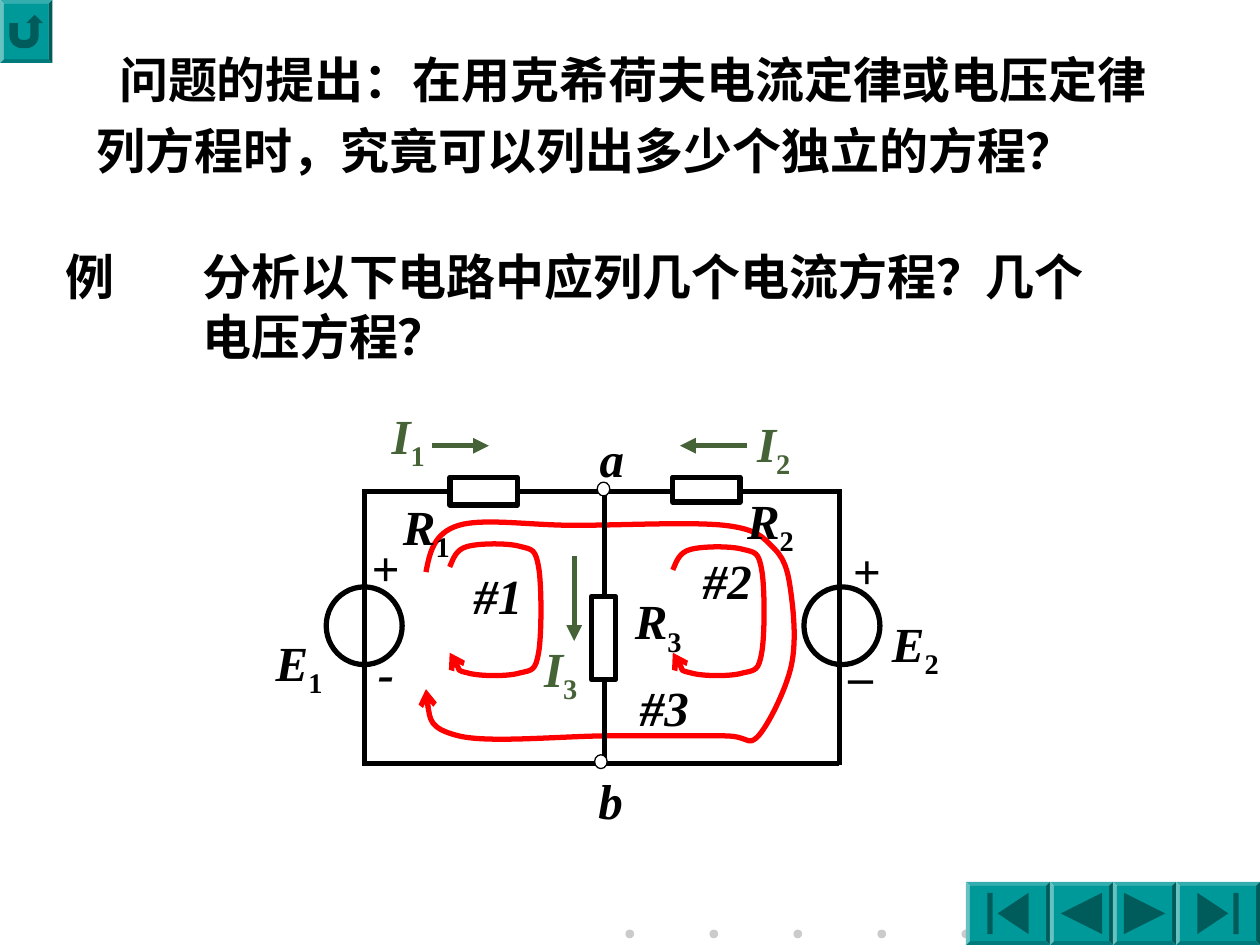
from typing import NamedTuple

from lxml.etree import SubElement
from pptx import Presentation
from pptx.dml.color import RGBColor
from pptx.enum.shapes import MSO_CONNECTOR, MSO_SHAPE
from pptx.enum.text import MSO_AUTO_SIZE
from pptx.oxml.ns import qn
from pptx.util import Pt

BLACK = RGBColor(0x00, 0x00, 0x00)
WHITE = RGBColor(0xFF, 0xFF, 0xFF)
RED = RGBColor(0xFF, 0x00, 0x00)
GREEN = RGBColor(0x46, 0x63, 0x37)
TEAL = RGBColor(0x00, 0x99, 0x99)
GRAY = RGBColor(0xCB, 0xCB, 0xCB)
SERIF = "Times New Roman"
SANS = "Noto Sans CJK SC"
RIM = 2.25


class Box(NamedTuple):
    kind: MSO_SHAPE
    x: float
    y: float
    w: float
    h: float


class Wire(NamedTuple):
    x1: float
    y1: float
    x2: float
    y2: float


class Label(NamedTuple):
    x: float
    y: float
    w: float
    text: str
    sub: str = ""
    color: RGBColor = BLACK


class Note(NamedTuple):
    x: float
    y: float
    w: float
    h: float
    lines: tuple[str, ...]
    font: str
    space: float
    indent: float = 0
    wrap: bool = False


def draw_box(box: Box, fill: RGBColor, width: float = 0):
    shape = shapes.add_shape(box.kind, Pt(box.x), Pt(box.y), Pt(box.w), Pt(box.h))
    shape.shadow.inherit = False
    shape.fill.solid()
    shape.fill.fore_color.rgb = fill
    if width:
        shape.line.color.rgb = BLACK
        shape.line.width = Pt(width)
    else:
        shape.line.fill.background()
    return shape


def draw_button(box: Box) -> None:
    """Draw a bevelled rim with the action button set inside it."""
    rim = draw_box(box._replace(kind=MSO_SHAPE.BEVEL), TEAL)
    rim.adjustments[0] = RIM / min(box.w, box.h)
    draw_box(Box(box.kind, box.x + RIM, box.y + RIM,
                 box.w - 2 * RIM, box.h - 2 * RIM), TEAL)


def add_head(item, kind: str) -> None:
    line = item._element.spPr.find(qn("a:ln"))
    SubElement(line, qn("a:tailEnd"), type=kind)


def draw_wire(wire: Wire, color: RGBColor = BLACK, head: str = "") -> None:
    ends = [Pt(n) for n in wire]
    item = shapes.add_connector(MSO_CONNECTOR.STRAIGHT, *ends)
    item.line.color.rgb = color
    item.line.width = Pt(3)
    if head:
        add_head(item, head)
    SubElement(item._element.spPr, qn("a:effectLst"))


def draw_curve(points: list[tuple[float, float]]) -> None:
    """Draw a start point followed by triples of cubic control points."""
    spots = [(Pt(x), Pt(y)) for x, y in points]
    maker = shapes.build_freeform(*spots[0], scale=1.0)
    maker.add_line_segments(spots[1:], close=False)
    shape = maker.convert_to_shape()
    track = next(shape._element.iter(qn("a:path")))
    steps = track.findall(qn("a:lnTo"))
    for i in range(0, len(steps), 3):
        cubic = SubElement(track, qn("a:cubicBezTo"))
        for step in steps[i:i + 3]:
            cubic.append(step[0])
            track.remove(step)
    shape.shadow.inherit = False
    shape.fill.background()
    shape.line.color.rgb = RED
    shape.line.width = Pt(3)
    add_head(shape, "arrow")


def add_frame(x: float, y: float, w: float, h: float, wrap: bool):
    frame = shapes.add_textbox(Pt(x), Pt(y), Pt(w), Pt(h)).text_frame
    frame.word_wrap = wrap
    frame.auto_size = MSO_AUTO_SIZE.SHAPE_TO_FIT_TEXT
    return frame


def add_run(para, text: str, color: RGBColor, name: str, slant: bool):
    run = para.add_run()
    run.text = text
    font = run.font
    font.size = Pt(28)
    font.bold = True
    font.italic = slant
    font.color.rgb = color
    font.name = name
    return run._r.get_or_add_rPr()


def draw_label(label: Label) -> None:
    high = 45.4 if label.sub else 41
    frame = add_frame(label.x, label.y, label.w, high, False)
    para = frame.paragraphs[0]
    add_run(para, label.text, label.color, SERIF, True)
    if label.sub:
        props = add_run(para, label.sub, label.color, SERIF, False)
        props.set("baseline", "-25000")


def draw_note(note: Note) -> None:
    frame = add_frame(note.x, note.y, note.w, note.h, note.wrap)
    for i, line in enumerate(note.lines):
        para = frame.add_paragraph() if i else frame.paragraphs[0]
        para.line_spacing = Pt(note.space)
        if note.indent:
            para._p.get_or_add_pPr().set("indent", str(Pt(note.indent)))
        props = add_run(para, line, BLACK, note.font, False)
        SubElement(props, qn("a:ea"), typeface=SANS)


deck = Presentation()
deck.slide_width, deck.slide_height = Pt(720), Pt(540)
shapes = deck.slides.add_slide(deck.slide_layouts[6]).shapes

# Footer dots and action buttons
for i in range(5):
    draw_box(Box(MSO_SHAPE.OVAL, 357.4 + 48 * i, 531.2, 5, 5), GRAY)
for button in (
    Box(MSO_SHAPE.ACTION_BUTTON_RETURN, 0, 0, 30, 36),
    Box(MSO_SHAPE.ACTION_BUTTON_BEGINNING, 552, 504, 48, 36),
    Box(MSO_SHAPE.ACTION_BUTTON_BACK_OR_PREVIOUS, 600, 504, 36, 36),
    Box(MSO_SHAPE.ACTION_BUTTON_FORWARD_OR_NEXT, 636, 504, 36, 36),
    Box(MSO_SHAPE.ACTION_BUTTON_END, 672, 504, 48, 36),
):
    draw_button(button)

# Question and example
for note in (
    Note(48, 18, 617, 88, ("问题的提出：在用克希荷夫电流定律或电压定律"
         "列方程时，究竟可以列出多少个独立的方程？",), SANS, 40.6, 13, True),
    Note(30.2, 137.4, 42.6, 41, ("例",), SERIF, 33.8),
    Note(108.5, 137.4, 519, 75,
         ("分析以下电路中应列几个电流方程？几个", "电压方程？"), SERIF, 33.8),
):
    draw_note(note)

# Inner loops: same outline, the right one has a lower top
HALF = [0, 2.2, 3.6, 10.1, 17.3, 33.8, 40.3, 47.5, 49, 50.8, 52.6]
UPPER = [324, 319, 314, 312.3, 310.3, 310.3, 312.3, 314, 314, 324, 334]
LOWER = [363, 373, 383, 383, 384.5, 386.6, 386.6, 384.5, 383, 378, 373]
for left, drop in ((257, 0), (384.5, 1.7)):
    across = [left + x for x in HALF + HALF[::-1]]
    draw_curve(list(zip(across, [y + drop for y in UPPER] + LOWER)))

# Outer loop
draw_curve([
    (243.4, 326.9),
    (245.5, 316.1), (247.7, 304.6), (262.1, 300.2),
    (276.5, 295.9), (303.1, 300.2), (328.3, 300.2),
    (354.2, 300.2), (395.3, 298.1), (414, 300.2),
    (433.4, 302.4), (436.3, 307.4), (442.8, 313.9),
    (449.3, 320.4), (450.7, 329), (452.2, 340.6),
    (453.6, 351.4), (455, 367.2), (452.2, 380.2),
    (449.3, 393.8), (439.2, 414), (433.4, 420.5),
    (427, 427), (428.4, 420.5), (414, 420.5),
    (399.6, 420.5), (373, 420.5), (347.8, 420.5),
    (322.6, 420.5), (279.4, 424.8), (262.1, 420.5),
    (244.8, 416.2), (244.1, 404.6), (243.4, 393.8),
])

# Sources, wires, resistors and nodes
LEFT, MID, RIGHT, TOP, BASE = 208.1, 345.6, 479.6, 280.8, 436.2
for x in (186.4, 459.4):
    draw_box(Box(MSO_SHAPE.OVAL, x, 335.4, 43.4, 44.4), WHITE, 3)
for x in (LEFT, MID, RIGHT):
    draw_wire(Wire(x, TOP - 1.5, x, BASE + 1))
for wire in (Wire(LEFT - 1.5, TOP, MID, TOP), Wire(MID, TOP, RIGHT, TOP),
             Wire(LEFT - 1.5, BASE, RIGHT, BASE)):
    draw_wire(wire)
for part in (Box(MSO_SHAPE.RECTANGLE, 257.2, 272.7, 38.5, 16),
             Box(MSO_SHAPE.RECTANGLE, 384.4, 272.7, 38.5, 14.3),
             Box(MSO_SHAPE.RECTANGLE, 337.9, 340.8, 14, 47.6)):
    draw_box(part, WHITE, 3)
for x, y in ((341.3, 275.5), (339.8, 431.3)):
    draw_box(Box(MSO_SHAPE.OVAL, x, y, 7.2, 7.9), WHITE, 0.75)

# Current arrows
for arrow in (Wire(247, 254.7, 279.4, 254.7), Wire(426.8, 254.7, 388.6, 254.7),
              Wire(328.1, 317.5, 328.1, 366.3)):
    draw_wire(arrow, GREEN, "triangle")

# Circuit labels
for label in (
    Label(335.5, 241.2, 28.5, "a"),
    Label(334.8, 437, 28.5, "b"),
    Label(216.7, 228.2, 35, "I", "1", GREEN),
    Label(425.5, 232.6, 35, "I", "2", GREEN),
    Label(303.8, 361.4, 35, "I", "3", GREEN),
    Label(150.5, 357.8, 42, "E", "1"),
    Label(502.6, 347, 42, "E", "2"),
    Label(223.2, 280.1, 42, "R", "1"),
    Label(419.8, 276.5, 42, "R", "2"),
    Label(355.7, 334.1, 42, "R", "3"),
    Label(205.2, 303.8, 30.6, "+"),
    Label(480.2, 305.3, 30.6, "+"),
    Label(208.8, 363.6, 24, "-"),
    Label(479.5, 355.7, 28.6, "_"),
    Label(263.5, 319.7, 42.6, "#1"),
    Label(394.6, 311, 42.6, "#2"),
    Label(358.6, 383.8, 42.6, "#3"),
):
    draw_label(label)

deck.save("out.pptx")
